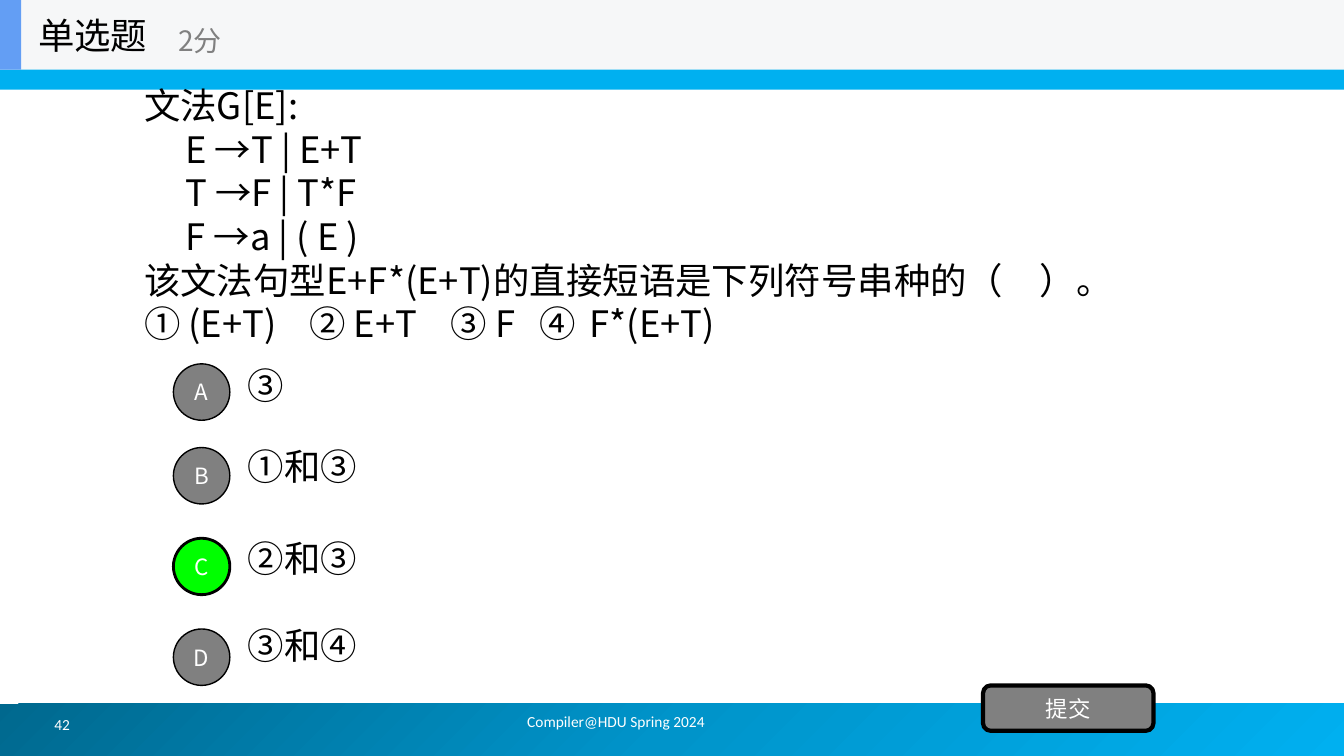
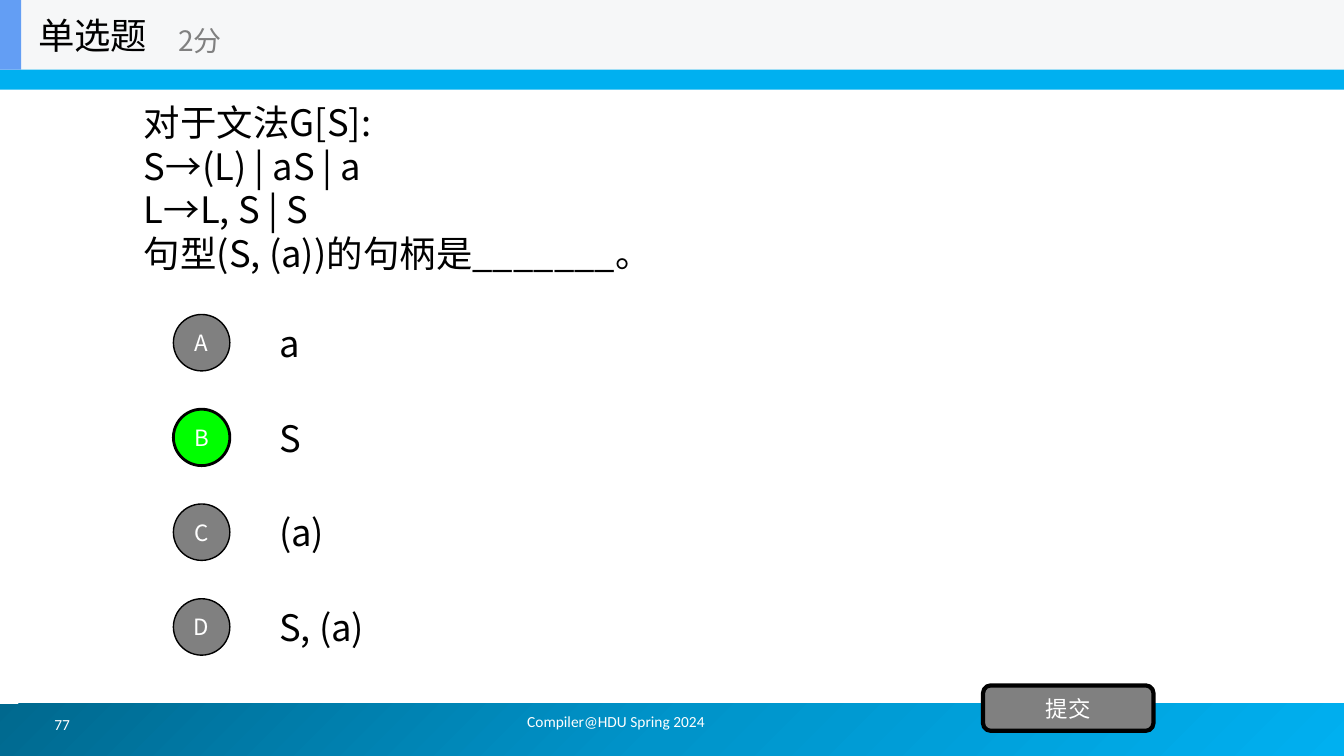
"""Build two single-choice quiz slides on grammars and phrases."""
from copy import deepcopy
from dataclasses import dataclass

from lxml.etree import SubElement
from pptx import Presentation
from pptx.dml.color import RGBColor
from pptx.enum.shapes import MSO_SHAPE as Shape
from pptx.enum.text import MSO_ANCHOR as Anchor, PP_ALIGN as Align
from pptx.oxml.ns import qn
from pptx.util import Inches, Pt

BODY_FONT = "Noto Sans CJK SC"
FOOTER_FONT = "Calibri"
BLACK, WHITE, GREY = "000000", "FFFFFF", "808080"
SKY, PALE, ACCENT, CORRECT = "00B0F0", "F6F7F8", "639EF4", "00FF00"
FOOTER_GRADIENT = ("00688E", "0094CA", SKY)
FOOTER = "Compiler@HDU Spring 2024"
LETTERS = "ABCD"
BADGE_LEFT, BADGE_SIZE = 1.72, 0.56


@dataclass(frozen=True)
class Style:
    size: int
    color: str
    font: str = BODY_FONT
    align: Align = Align.LEFT


@dataclass(frozen=True)
class Line:
    text: str
    indent: float = 0
    tabs: tuple[float, ...] = ()


@dataclass(frozen=True)
class Box:
    left: float
    top: float
    width: float
    height: float

    def lengths(self) -> tuple:
        return tuple(Inches(n) for n in (self.left, self.top, self.width, self.height))


@dataclass(frozen=True)
class Question:
    number: str
    box: Box
    lines: tuple[Line, ...]
    answers: tuple[str, ...]
    correct: str
    answer_left: float
    answer_tops: tuple[float, ...]
    badge_tops: tuple[float, ...]


TITLE = Style(26, BLACK)
POINTS = Style(20, GREY)
BUTTON = Style(16, WHITE, align=Align.CENTER)
PAGE_NUMBER = Style(11, WHITE, FOOTER_FONT)
FOOTER_STYLE = Style(11, WHITE, FOOTER_FONT, Align.CENTER)

QUESTIONS = (
    Question(
        "42",
        Box(1.33, 0.75, 11.72, 2.75),
        (
            Line("文法G[E]:"),
            Line("E →T | E+T", 0.41),
            Line("T →F | T*F", 0.41),
            Line("F →a | ( E )", 0.41),
            Line("该文法句型E+F*(E+T)的直接短语是下列符号串种的（　）。"),
            Line("① (E+T)\t② E+T\t③ F\t④\tF*(E+T)", tabs=(1.64, 3.04, 3.92, 4.42)),
        ),
        ("③", "①和③", "②和③", "③和④"),
        "C",
        2.36,
        (3.47, 4.27, 5.19, 6.05),
        (3.61, 4.44, 5.34, 6.24),
    ),
    Question(
        "77",
        Box(1.33, 0.69, 10.67, 2.34),
        (
            Line("对于文法G[S]:"),
            Line("S→(L) | aS | a"),
            Line("L→L, S | S"),
            Line("句型(S, (a))的句柄是_______。"),
        ),
        ("a", "S", "(a)", "S, (a)"),
        "B",
        2.67,
        tuple(3.05 + 0.94 * row for row in range(4)),
        tuple(3.12 + 0.94 * row for row in range(4)),
    ),
)


def rgb(color: str) -> RGBColor:
    """Turn a hex string into a colour."""
    return RGBColor.from_string(color)


def write(frame, lines: tuple[Line, ...], style: Style, margin: float = 0.1) -> None:
    """Fill a text frame with lines in one style."""
    frame.word_wrap = True
    frame.vertical_anchor = Anchor.MIDDLE
    frame.margin_left = frame.margin_right = Inches(margin)
    for index, line in enumerate(lines):
        para = frame.add_paragraph() if index else frame.paragraphs[0]
        para.text = line.text
        para.alignment = style.align
        properties = para._p.get_or_add_pPr()
        if line.indent:
            properties.set("marL", str(Inches(line.indent)))
            properties.set("indent", "0")
        if line.tabs:
            tabs = SubElement(properties, qn("a:tabLst"))
            for stop in line.tabs:
                SubElement(tabs, qn("a:tab"), pos=str(Inches(stop)), algn="l")
        para.font.size = Pt(style.size)
        para.font.color.rgb = rgb(style.color)
        para.font.name = style.font
        SubElement(properties.find(qn("a:defRPr")), qn("a:ea"), typeface=style.font)


def add_text(page, box: Box, style: Style, *lines: Line) -> None:
    """Add a text box."""
    write(page.shapes.add_textbox(*box.lengths()).text_frame, lines, style)


def add_block(page, box: Box, color: str, kind: Shape = Shape.RECTANGLE, border: int = 0):
    """Add a filled shape, outlined in black if it has a border."""
    shape = page.shapes.add_shape(kind, *box.lengths())
    shape.shadow.inherit = False
    shape.fill.solid()
    shape.fill.fore_color.rgb = rgb(color)
    if border:
        shape.line.color.rgb = rgb(BLACK)
        shape.line.width = Pt(border)
    else:
        shape.line.fill.background()
    return shape


def add_button(page, box: Box, label: str, kind: Shape, color: str, border: int) -> None:
    """Add an outlined shape with a centred label."""
    shape = add_block(page, box, color, kind, border)
    write(shape.text_frame, (Line(label),), BUTTON, margin=0)


def add_footer_band(page) -> None:
    """Add the gradient band along the bottom."""
    band = add_block(page, Box(-0.05, 6.98, 13.39, 0.52), SKY)
    band.fill.gradient()
    band.fill.gradient_angle = 315
    stop_list = band._element.spPr.find(".//" + qn("a:gsLst"))
    stop_list.insert(1, deepcopy(stop_list[0]))
    for index, (stop, color) in enumerate(zip(band.fill.gradient_stops, FOOTER_GRADIENT)):
        stop.position = index / 2
        stop.color.rgb = rgb(color)


def add_frame(page, number: str) -> None:
    """Add the header and footer that all pages share."""
    add_footer_band(page)
    add_block(page, Box(-0.02, 0.02, 13.36, 0.87), SKY)
    add_text(page, Box(4, 6.91, 4.22, 0.5), FOOTER_STYLE, Line(FOOTER))
    add_text(page, Box(0.44, 6.94, 2.89, 0.5), PAGE_NUMBER, Line(number))
    add_block(page, Box(0, 0, 13.33, 0.69), PALE)
    add_block(page, Box(0, 0, 0.21, 0.69), ACCENT)
    add_text(page, Box(0.28, 0, 2.08, 0.69), TITLE, Line("单选题"))
    add_text(page, Box(1.67, 0.12, 2.5, 0.56), POINTS, Line("2分"))


def add_question(deck, question: Question) -> None:
    """Add one page with a question and its answers."""
    page = deck.slides.add_slide(deck.slide_layouts[6])
    add_frame(page, question.number)
    add_text(page, question.box, TITLE, *question.lines)
    rows = zip(LETTERS, question.answers, question.answer_tops, question.badge_tops)
    for letter, answer, answer_top, badge_top in rows:
        add_text(page, Box(question.answer_left, answer_top, 9.33, 0.7), TITLE, Line(answer))
        color, border = (CORRECT, 2) if letter == question.correct else (GREY, 1)
        badge = Box(BADGE_LEFT, badge_top, BADGE_SIZE, BADGE_SIZE)
        add_button(page, badge, letter, Shape.OVAL, color, border)
    submit = Box(9.75, 6.8, 1.69, 0.45)
    add_button(page, submit, "提交", Shape.ROUNDED_RECTANGLE, GREY, 3)


def main() -> None:
    """Build and save the deck."""
    deck = Presentation()
    deck.slide_width, deck.slide_height = Inches(13.33), Inches(7.5)
    for question in QUESTIONS:
        add_question(deck, question)
    deck.save("out.pptx")


if __name__ == "__main__":
    main()
